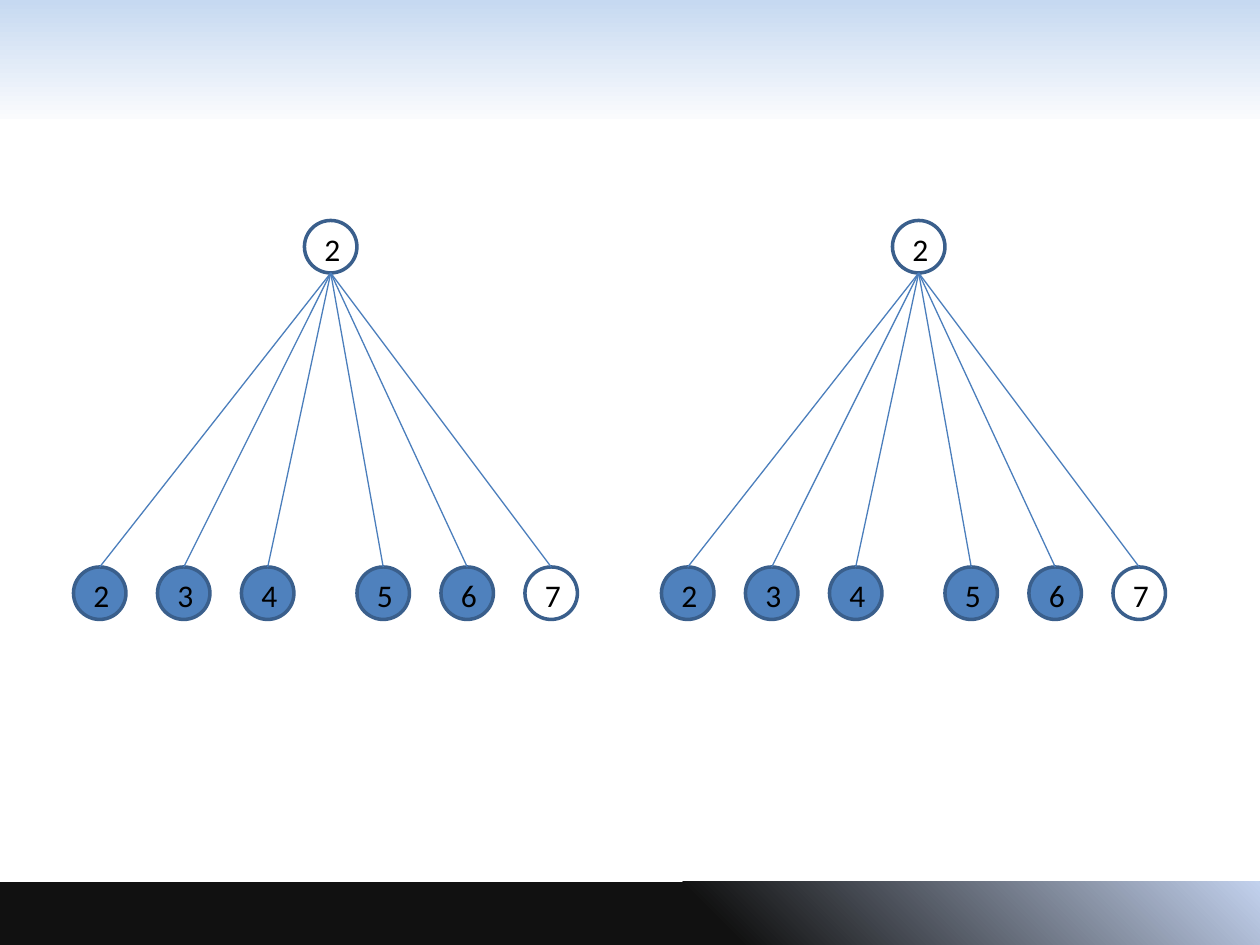
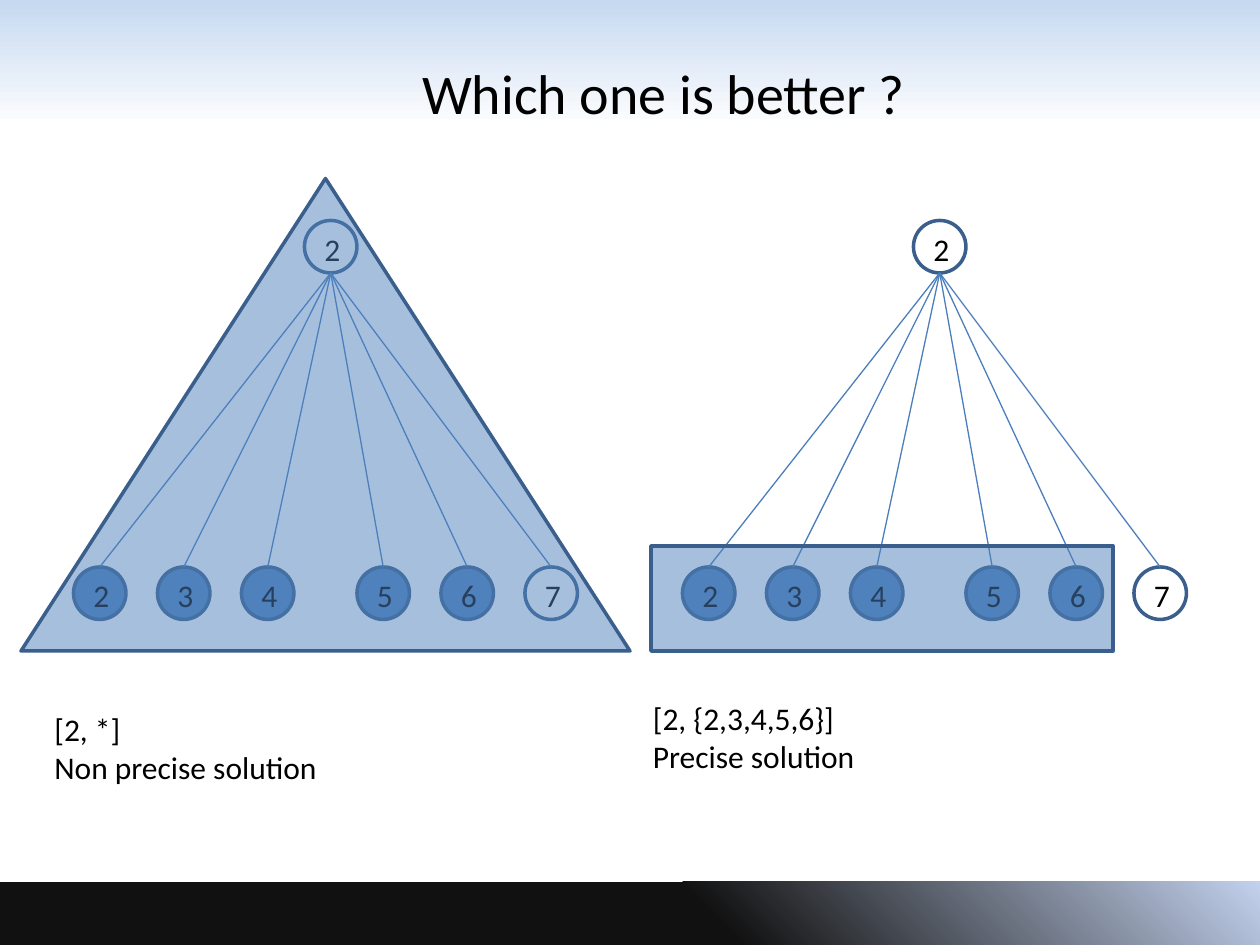
"""Build two slides that compare a non precise and a precise tree solution."""
import dataclasses

import lxml.etree
import pptx
import pptx.dml.color
import pptx.dml.fill
import pptx.enum.shapes
import pptx.enum.text
import pptx.presentation
import pptx.shapes.autoshape
import pptx.slide
import pptx.text.text
import pptx.util

Pt = pptx.util.Pt
SHAPE = pptx.enum.shapes.MSO_SHAPE
ALIGN = pptx.enum.text.PP_ALIGN
ANCHOR = pptx.enum.text.MSO_ANCHOR


@dataclasses.dataclass(frozen=True)
class Theme:
    font: str = "Calibri"
    title_size: float = 32
    body_size: float = 18
    text: str = "000000"
    paper: str = "FFFFFF"
    accent: str = "4F81BD"
    outline: str = "3A5F8C"
    edge: str = "4B7EBC"
    outline_width: float = 2
    edge_width: float = 0.75
    overlay_alpha: int = 50


@dataclasses.dataclass(frozen=True)
class Box:
    left: float
    top: float
    width: float
    height: float

    def lengths(self) -> tuple[pptx.util.Length, ...]:
        return tuple(Pt(value) for value in dataclasses.astuple(self))


@dataclasses.dataclass(frozen=True)
class Band:
    box: Box
    start: str
    end: str
    start_position: float
    angle: float


@dataclasses.dataclass(frozen=True)
class Node:
    label: str
    left: float
    top: float
    fill: str | None


@dataclasses.dataclass(frozen=True)
class Caption:
    box: Box
    lines: tuple[str, ...]


@dataclasses.dataclass(frozen=True)
class Overlay:
    kind: pptx.enum.shapes.MSO_SHAPE
    box: Box


THEME = Theme()
NODE_SIZE = 30
LEAF_STEP = 48
GROUP_GAP = 18
ROOT_OFFSET = 132
ROOT_TOP = 126
LEAF_TOP = 324
LEAF_LABELS = "234567"
LEFT_TREE = 42

BANDS = (
    Band(Box(0, 0, 720, 68), "C6D9F1", "FAFBFD", 0, 270),
    Band(Box(0, 504, 720, 36), "111111", "C2D1ED", 0.56, 45),
)
OVERLAYS = (
    Overlay(SHAPE.ISOSCELES_TRIANGLE, Box(12, 102, 348, 270)),
    Overlay(SHAPE.RECTANGLE, Box(372, 312, 264, 60)),
)
CAPTIONS = (
    Caption(Box(24, 402, 318, 51), ("[2, *]", "Non precise solution")),
    Caption(Box(366, 396, 318, 51), ("[2, {2,3,4,5,6}]", "Precise solution")),
)


def rgb(value: str) -> pptx.dml.color.RGBColor:
    return pptx.dml.color.RGBColor.from_string(value)


def paint(fill: pptx.dml.fill.FillFormat, color: str | None) -> None:
    if color is None:
        fill.background()
    else:
        fill.solid()
        fill.fore_color.rgb = rgb(color)


def format_text(frame: pptx.text.text.TextFrame, size: float, align: ALIGN) -> None:
    for paragraph in frame.paragraphs:
        paragraph.alignment = align
        for run in paragraph.runs:
            run.font.name = THEME.font
            run.font.size = Pt(size)
            run.font.color.rgb = rgb(THEME.text)


def add_outlined(slide: pptx.slide.Slide, kind: SHAPE, box: Box,
                 color: str | None) -> pptx.shapes.autoshape.Shape:
    outlined = slide.shapes.add_shape(kind, *box.lengths())
    outlined.shadow.inherit = False
    paint(outlined.fill, color)
    outlined.line.color.rgb = rgb(THEME.outline)
    outlined.line.width = Pt(THEME.outline_width)
    return outlined


def add_bands(deck: pptx.presentation.Presentation, slide: pptx.slide.Slide) -> None:
    master_tree = deck.slide_master.shapes.element
    for index, band in enumerate(BANDS):
        strip = slide.shapes.add_shape(SHAPE.RECTANGLE, *band.box.lengths())
        strip.shadow.inherit = False
        strip.line.fill.background()
        strip.fill.gradient()
        strip.fill.gradient_angle = band.angle
        start, end = strip.fill.gradient_stops
        start.color.rgb, start.position = rgb(band.start), band.start_position
        end.color.rgb, end.position = rgb(band.end), 1
        strip.element.xpath("p:nvSpPr/p:cNvPr")[0].set("id", str(20 + index))
        master_tree.insert(2 + index, strip.element)


def add_node(slide: pptx.slide.Slide, node: Node) -> pptx.shapes.autoshape.Shape:
    circle = add_outlined(slide, SHAPE.OVAL,
                          Box(node.left, node.top, NODE_SIZE, NODE_SIZE), node.fill)
    frame = circle.text_frame
    frame.text = node.label
    frame.word_wrap = False
    frame.vertical_anchor = ANCHOR.MIDDLE
    frame.margin_left = frame.margin_top = Pt(2)
    frame.margin_right = frame.margin_bottom = Pt(0)
    format_text(frame, THEME.body_size, ALIGN.CENTER)
    return circle


def add_edge(slide: pptx.slide.Slide, root: Node, leaf: Node,
             leaf_circle: pptx.shapes.autoshape.Shape) -> None:
    half = NODE_SIZE / 2
    edge = slide.shapes.add_connector(
        pptx.enum.shapes.MSO_CONNECTOR.STRAIGHT,
        Pt(root.left + half), Pt(root.top + NODE_SIZE),
        Pt(leaf.left + half), Pt(leaf.top))
    edge.end_connect(leaf_circle, 0)
    edge.line.color.rgb = rgb(THEME.edge)
    edge.line.width = Pt(THEME.edge_width)
    properties = edge.element.spPr
    lxml.etree.SubElement(properties, pptx.oxml.ns.qn("a:effectLst"))


def add_tree(slide: pptx.slide.Slide, left: float) -> None:
    root = Node("2", left + ROOT_OFFSET, ROOT_TOP, THEME.paper)
    add_node(slide, root)
    for index, label in enumerate(LEAF_LABELS):
        gap = GROUP_GAP if index >= len(LEAF_LABELS) // 2 else 0
        color = None if label == LEAF_LABELS[-1] else THEME.accent
        leaf = Node(label, left + index * LEAF_STEP + gap, LEAF_TOP, color)
        add_edge(slide, root, leaf, add_node(slide, leaf))


def add_overlay(slide: pptx.slide.Slide, overlay: Overlay) -> None:
    veil = add_outlined(slide, overlay.kind, overlay.box, THEME.accent)
    color = veil.element.spPr.find(".//" + pptx.oxml.ns.qn("a:srgbClr"))
    alpha = lxml.etree.SubElement(color, pptx.oxml.ns.qn("a:alpha"))
    alpha.set("val", str(THEME.overlay_alpha * 1000))


def add_caption(slide: pptx.slide.Slide, caption: Caption) -> None:
    frame = slide.shapes.add_textbox(*caption.box.lengths()).text_frame
    frame.text = "\n".join(caption.lines)
    frame.word_wrap = True
    frame.auto_size = pptx.enum.text.MSO_AUTO_SIZE.SHAPE_TO_FIT_TEXT
    format_text(frame, THEME.body_size, ALIGN.LEFT)


def set_title(slide: pptx.slide.Slide, text: str, box: Box) -> None:
    title = slide.shapes.title
    title.left, title.top, title.width, title.height = box.lengths()
    frame = title.text_frame
    frame.text = text
    frame.word_wrap = True
    frame.auto_size = pptx.enum.text.MSO_AUTO_SIZE.NONE
    frame.vertical_anchor = ANCHOR.TOP
    format_text(frame, THEME.title_size, ALIGN.LEFT)


def main() -> None:
    deck = pptx.Presentation()
    deck.slide_width, deck.slide_height = Pt(720), Pt(540)

    trees = deck.slides.add_slide(deck.slide_layouts[6])
    add_bands(deck, trees)
    for left in (LEFT_TREE, 378):
        add_tree(trees, left)

    comparison = deck.slides.add_slide(deck.slide_layouts[5])
    set_title(comparison, "Which one is better ?", Box(234, 30, 312, 46))
    for left in (LEFT_TREE, 390):
        add_tree(comparison, left)
    for overlay in OVERLAYS:
        add_overlay(comparison, overlay)
    for caption in CAPTIONS:
        add_caption(comparison, caption)

    deck.save("out.pptx")


main()
